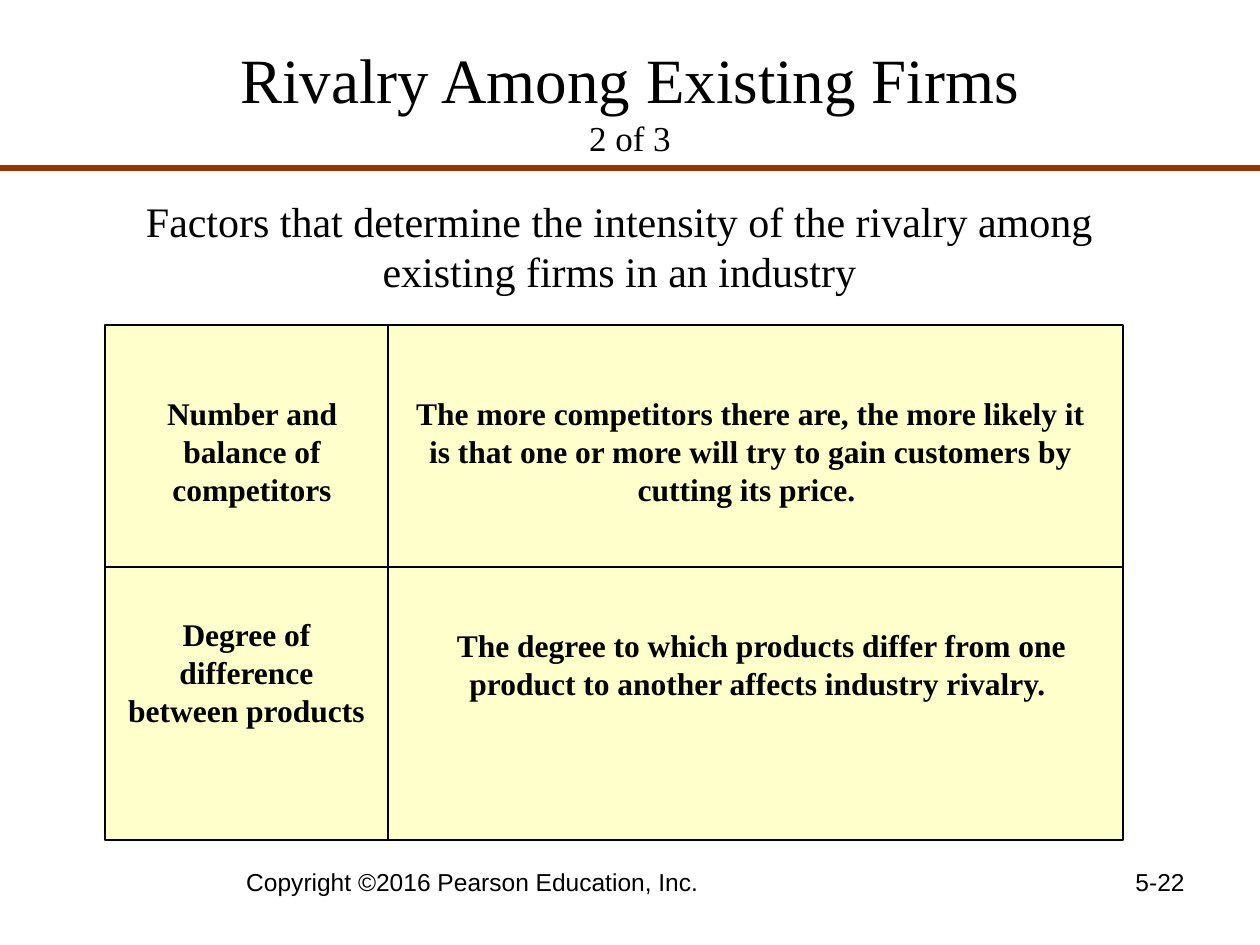
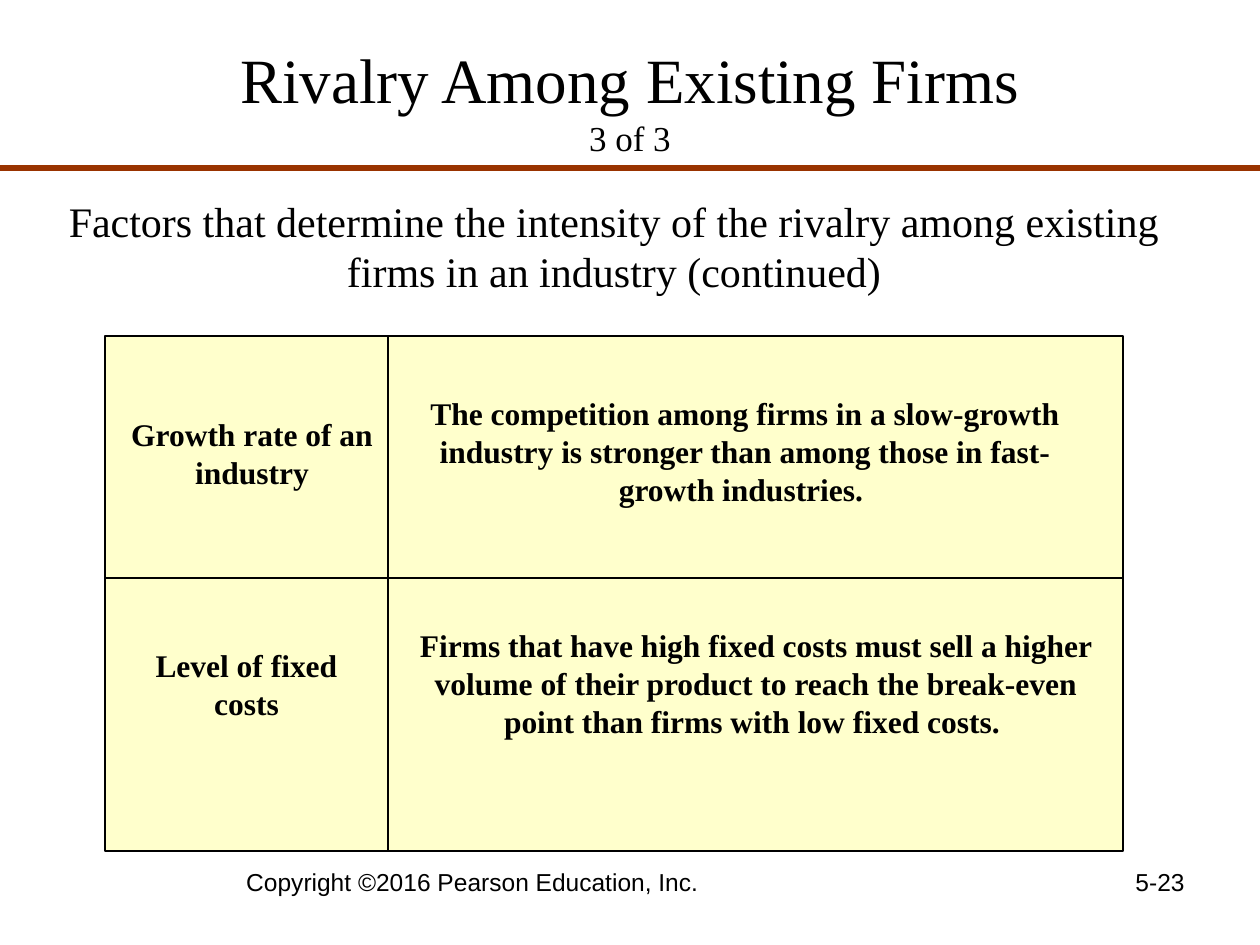
"""Build two slides on the factors behind rivalry among existing firms."""
from lxml import etree
from pptx import Presentation
from pptx.dml.color import RGBColor
from pptx.enum.shapes import MSO_CONNECTOR, MSO_SHAPE
from pptx.enum.text import MSO_ANCHOR, PP_ALIGN
from pptx.oxml.ns import qn
from pptx.util import Emu, Pt

PX = 914400 // 126
COLORS = {"text": "000000", "rule": "993300", "panel": "FFFFCC", "border": "000000"}
SERIF, SANS = "Times New Roman", "Arial"
TITLE = "Rivalry Among Existing Firms"
COPYRIGHT = "Copyright ©2016 Pearson Education, Inc."

PANEL_LEFT, PANEL_WIDTH, PANEL_HEIGHT = 105, 1018, 515
FACTOR_WIDTH, FIRST_ROW_HEIGHT = 283, 242
LINE_HEIGHT, PADDING = 38, 12

SLIDES = [
    {
        "part": "2 of 3",
        "number": "5-22",
        "intro": "Factors that determine the intensity of the rivalry among "
                 "existing firms in an industry",
        "intro_box": (84, 189, 1071, 113),
        "panel_top": 325,
        "factors": [
            {"text": "Number and balance of competitors",
             "at": (105, 388, 294), "lines": 3},
            {"text": "The more competitors there are, the more likely it is that "
                     "one or more will try to gain customers by cutting its price. ",
             "at": (399, 388, 703), "lines": 3},
            {"text": "Degree of difference between products",
             "at": (115, 609, 263), "lines": 3},
            {"text": "The degree to which products differ from one product to "
                     "another affects industry rivalry. ",
             "at": (431, 620, 661), "lines": 2},
        ],
    },
    {
        "part": "3 of 3",
        "number": "5-23",
        "intro": "Factors that determine the intensity of the rivalry among "
                 "existing firms in an industry (continued)",
        "intro_box": (31, 189, 1166, 113),
        "panel_top": 336,
        "factors": [
            {"text": "Growth rate of an industry",
             "at": (105, 409, 294), "lines": 2},
            {"text": "The competition among firms in a slow-growth industry is "
                     "stronger than among those in fast-growth industries. ",
             "at": (409, 388, 672), "lines": 3},
            {"text": "Level of fixed costs",
             "at": (115, 640, 263), "lines": 2},
            {"text": "Firms that have high fixed costs must sell a higher volume of "
                     "their product to reach the break-even point than firms with "
                     "low fixed costs. ",
             "at": (399, 620, 714), "lines": 3},
        ],
    },
]


def px(n):
    return Emu(n * PX)


def rgb(name):
    return RGBColor.from_string(COLORS[name])


def add_text(s, box, text, sizes, font=SERIF, bold=False,
             align=PP_ALIGN.CENTER, anchor=MSO_ANCHOR.TOP):
    tf = s.shapes.add_textbox(*map(px, box)).text_frame
    tf.word_wrap = True
    tf.vertical_anchor = anchor
    p = tf.paragraphs[0]
    p.text = text
    p.alignment = align
    for r, size in zip(p.runs, sizes):
        r.font.name, r.font.size, r.font.bold = font, Pt(size), bold
        r.font.color.rgb = rgb("text")


def add_line(s, ends, color, width):
    line = s.shapes.add_connector(MSO_CONNECTOR.STRAIGHT, *map(px, ends))
    line.line.color.rgb = rgb(color)
    line.line.width = Pt(width)
    etree.SubElement(line._element.spPr, qn("a:effectLst"))


def add_panel(s, top):
    sp = s.shapes.add_shape(MSO_SHAPE.RECTANGLE, px(PANEL_LEFT), px(top),
                            px(PANEL_WIDTH), px(PANEL_HEIGHT))
    sp.shadow.inherit = False
    sp.fill.solid()
    sp.fill.fore_color.rgb = rgb("panel")
    sp.line.color.rgb = rgb("border")
    sp.line.width = Pt(0.75)
    x, y = PANEL_LEFT + FACTOR_WIDTH, top + FIRST_ROW_HEIGHT
    add_line(s, (PANEL_LEFT, y, PANEL_LEFT + PANEL_WIDTH, y), "border", 0.75)
    add_line(s, (x, top, x, top + PANEL_HEIGHT), "border", 0.75)


def add_slide(prs, data):
    s = prs.slides.add_slide(prs.slide_layouts[6])
    add_text(s, (63, 21, 1134, 157), f"{TITLE}\v{data['part']}", [36, 20],
             anchor=MSO_ANCHOR.MIDDLE)
    add_line(s, (0, 168, 1260, 168), "rule", 3)
    add_text(s, data["intro_box"], data["intro"], [24])
    add_panel(s, data["panel_top"])
    for factor in data["factors"]:
        height = factor["lines"] * LINE_HEIGHT + PADDING
        add_text(s, (*factor["at"], height), factor["text"], [18], bold=True)
    add_text(s, (63, 861, 819, 66), COPYRIGHT, [14], font=SANS)
    add_text(s, (903, 861, 294, 66), data["number"], [14], font=SANS, align=PP_ALIGN.RIGHT)


def main():
    prs = Presentation()
    prs.slide_width, prs.slide_height = px(1260), px(945)
    for data in SLIDES:
        add_slide(prs, data)
    prs.save("out.pptx")


if __name__ == "__main__":
    main()
